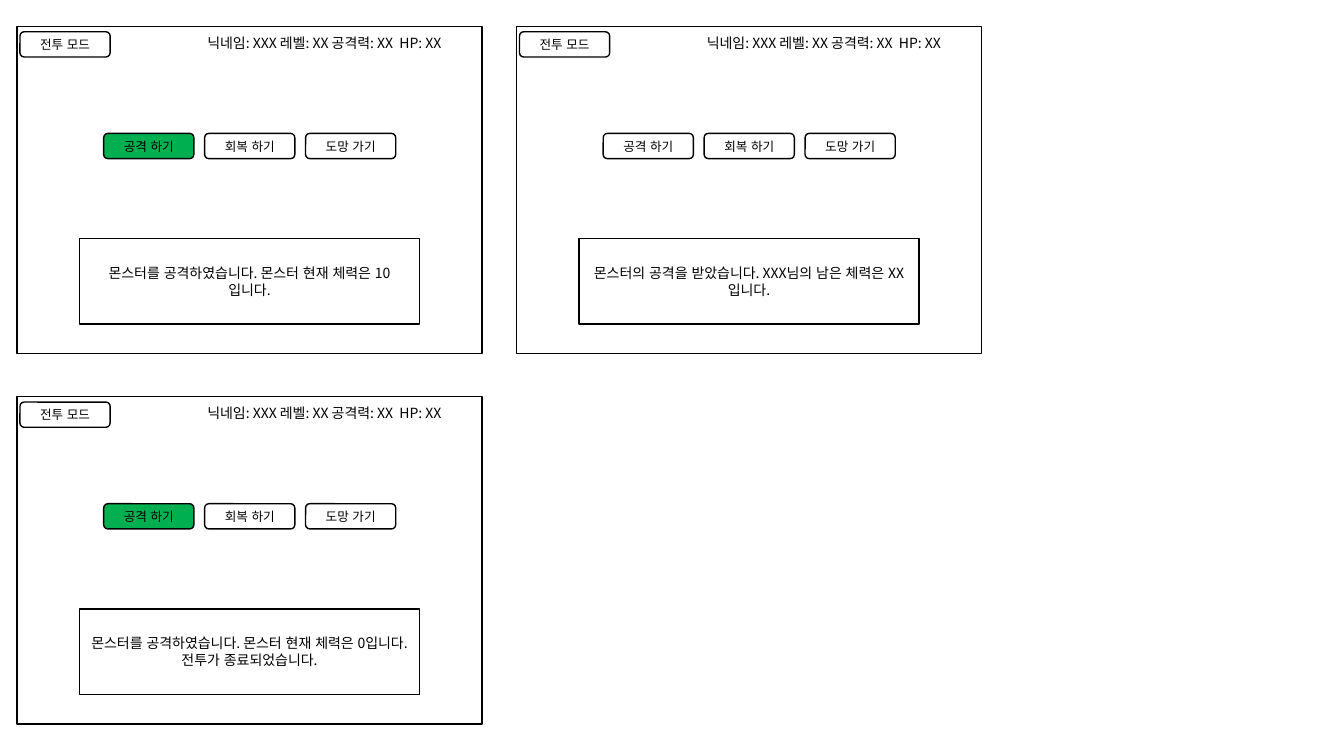
from dataclasses import dataclass

from lxml.etree import SubElement
from pptx import Presentation
from pptx.dml.color import RGBColor
from pptx.enum.lang import MSO_LANGUAGE_ID as Lang
from pptx.enum.shapes import MSO_SHAPE as Shape
from pptx.enum.text import MSO_ANCHOR as Anchor, MSO_AUTO_SIZE as AutoSize, PP_ALIGN as Align
from pptx.oxml.ns import qn
from pptx.util import Pt


@dataclass(frozen=True)
class Theme:
    font: str = "Noto Sans CJK KR"
    ink: RGBColor = RGBColor(0, 0, 0)
    paper: RGBColor = RGBColor(255, 255, 255)
    active: RGBColor = RGBColor(0, 176, 80)
    label_size: float = 9
    body_size: float = 10
    line_width: float = 1


def write(tf, text, *, theme, size, align=Align.LEFT, anchor=Anchor.TOP):
    tf.word_wrap = True
    tf.vertical_anchor = anchor
    p = tf.paragraphs[0]
    p.alignment = align
    r = p.add_run()
    r.text = text
    r.font.name = theme.font
    r.font.size = Pt(size)
    r.font.color.rgb = theme.ink
    r.font.language_id = Lang.KOREAN
    SubElement(r.font._element, qn("a:ea"), typeface=theme.font)


class Wireframe:
    def __init__(self, slide, theme):
        self.s = slide
        self.theme = theme

    def box(self, x, y, w, h, *, kind=Shape.RECTANGLE, fill=None, text=None, size=None):
        t = self.theme
        sp = self.s.shapes.add_shape(kind, Pt(x), Pt(y), Pt(w), Pt(h))
        sp.shadow.inherit = False
        sp.fill.solid()
        sp.fill.fore_color.rgb = fill or t.paper
        sp.line.color.rgb = t.ink
        sp.line.width = Pt(t.line_width)
        if text:
            write(sp.text_frame, text, theme=t, size=size or t.body_size,
                  align=Align.CENTER, anchor=Anchor.MIDDLE)

    def button(self, x, y, text, fill=None):
        self.box(x, y, 64.4, 18, kind=Shape.ROUNDED_RECTANGLE, fill=fill,
                 text=text, size=self.theme.label_size)

    def status(self, x, y, text):
        sp = self.s.shapes.add_textbox(Pt(x), Pt(y), Pt(209.5), Pt(19.4))
        write(sp.text_frame, text, theme=self.theme, size=self.theme.body_size)
        sp.text_frame.auto_size = AutoSize.SHAPE_TO_FIT_TEXT

    def screen(self, x, y, message, attacking):
        self.box(x, y, 332, 233.8)
        self.button(x + 2, y + 3.8, "전투 모드")
        for i, action in enumerate(ACTIONS):
            chosen = attacking and i == 0
            self.button(x + 61.8 + 72.1 * i, y + 76.4, action,
                        self.theme.active if chosen else None)
        self.box(x + 44.5, y + 151.6, 242.8, 61, text=message)
        self.status(x + 128.7, y + 2.1, "닉네임: XXX 레벨: XX 공격력: XX  HP: XX")


ACTIONS = ["공격 하기", "회복 하기", "도망 가기"]
SCREENS = [
    (0, 0, "몬스터를 공격하였습니다. 몬스터 현재 체력은 10입니다.", True),
    (1, 0, "몬스터의 공격을 받았습니다. XXX님의 남은 체력은 XX입니다.", False),
    (0, 1, "몬스터를 공격하였습니다. 몬스터 현재 체력은 0입니다. 전투가 종료되었습니다.", True),
]


def main():
    prs = Presentation()
    prs.slide_width, prs.slide_height = Pt(960), Pt(540)
    wireframe = Wireframe(prs.slides.add_slide(prs.slide_layouts[6]), Theme())
    for col, row, message, attacking in SCREENS:
        wireframe.screen(12.3 + 356.8 * col, 18.9 + 264.5 * row, message, attacking)
    prs.save("out.pptx")


if __name__ == "__main__":
    main()
